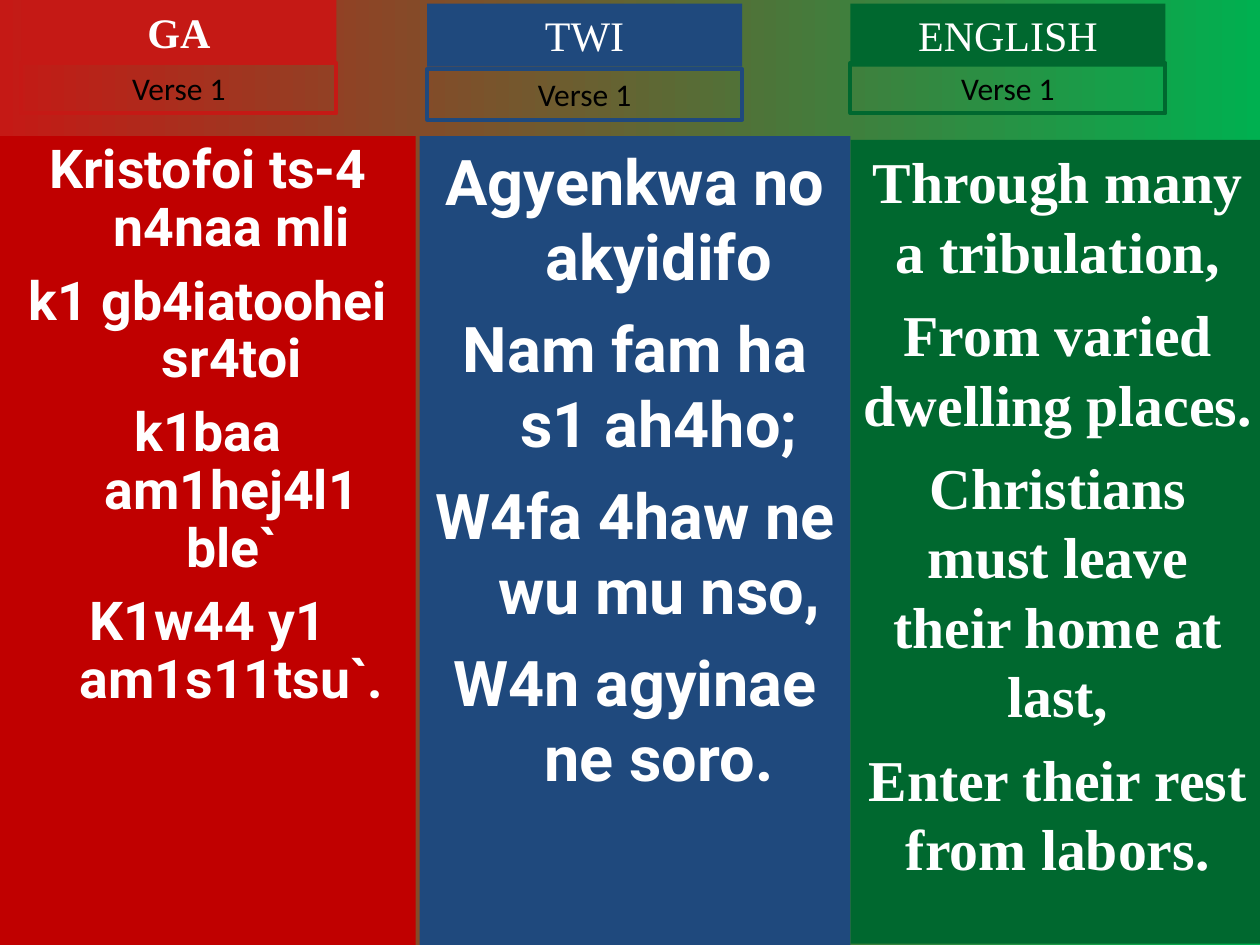
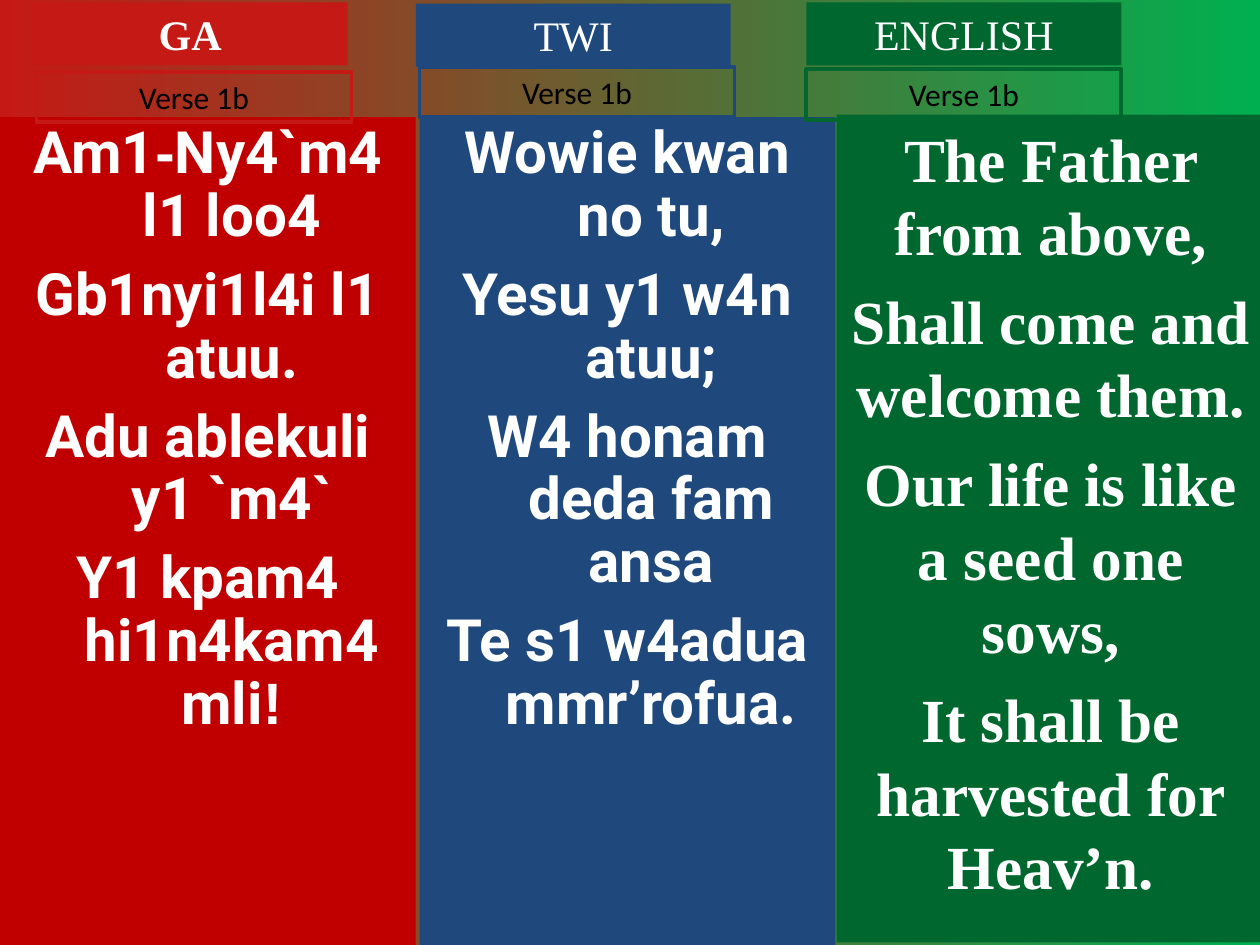
from pptx import Presentation
from pptx import util as u
from pptx.dml.color import RGBColor
from pptx.enum import shapes, text

PX = 9144  # 100 px to the inch
WHITE, BLACK = "FFFFFF", "000000"
RED, GREEN = "C51915", "00B050"
SERIF, SANS, VERSE_FONT, MARK_FONT = "Times New Roman", "Calibri", "Roboto", "Arial"
HANG = 38

# language, panel colour, accent colour, bold heading, verse font, hanging indent
LANGUAGES = [
    ("GA", "C00000", RED, True, VERSE_FONT, HANG),
    ("TWI", "1F497D", "1F497D", False, VERSE_FONT, HANG),
    ("ENGLISH", "00682F", "00682F", False, SERIF, 0),
]

# per column: panel box, heading corner, label corner,
# (size, line spacing, space before), lines; text between bars is set in MARK_FONT
SLIDES = [
    ("Verse 1", [
        ((0, 108, 330, 642), (17, 0), (17, 50), (30.6, 0.9, 9),
         ["Kristofoi ts-4 n4naa mli", "k1 gb4iatoohei sr4toi",
          "k1baa am1hej4l1 ble`", "K1w44 y1 am1s11tsu`."]),
        ((333, 108, 342, 642), (339, 3), (339, 55), (36, 1.0, 9),
         ["Agyenkwa no akyidifo", "Nam fam ha s1 ah4ho;",
          "W4fa 4haw ne wu mu nso,", "W4n agyinae ne soro."]),
        ((675, 111, 329, 638), (675, 3), (675, 50), (33, 1.0, 8.2),
         ["Through many a tribulation,", "From varied dwelling places.",
          "Christians must leave their home at last,",
          "Enter their rest from labors."]),
    ]),
    ("Verse 1b", [
        ((0, 93, 330, 657), (26, 2), (29, 57), (33.3, 0.9, 9),
         ["Am1|-|Ny4`m4 l1 loo4", "Gb1nyi1l4i l1 atuu.",
          "Adu ablekuli y1 `m4`", "Y1 kpam4 hi1n4kam4 mli|!"]),
        ((333, 93, 330, 657), (330, 3), (333, 53), (33.3, 0.9, 9),
         ["Wowie kwan no tu,", "Yesu y1 w4n atuu;",
          "W4 honam deda fam ansa", "Te s1 w4adua mmr’rofua."]),
        ((664, 91, 340, 657), (640, 2), (640, 55), (35, 1.0, 8.8),
         ["The Father from above,", "Shall come and welcome them.",
          "Our life is like a seed one sows,",
          "It shall be harvested for Heav’n."]),
    ]),
]


def rgb(value):
    return RGBColor.from_string(value)


def add_block(s, box, lines, font, size, color, bold=False, fill=None, line=None,
              spacing=1.0, before=0, hang=0, grow=False):
    """Add a rectangle of centred lines; grow fits its height to the text."""
    sp = s.shapes.add_shape(shapes.MSO_SHAPE.RECTANGLE, *(n * PX for n in box))
    sp.shadow.inherit = False
    if fill:
        sp.fill.solid()
        sp.fill.fore_color.rgb = rgb(fill)
    else:
        sp.fill.background()
    if line:
        sp.line.color.rgb = rgb(line)
        sp.line.width = u.Pt(2.25)
    else:
        sp.line.fill.background()

    tf = sp.text_frame
    tf.word_wrap = True
    tf.vertical_anchor = text.MSO_ANCHOR.TOP
    if grow:
        tf.auto_size = text.MSO_AUTO_SIZE.SHAPE_TO_FIT_TEXT
    for i, words in enumerate(lines):
        p = tf.paragraphs[0] if i == 0 else tf.add_paragraph()
        p.alignment = text.PP_ALIGN.CENTER
        p.line_spacing = spacing
        p.space_before = u.Pt(before if i else 0)
        if hang:
            pPr = p._p.get_or_add_pPr()
            pPr.set("marL", str(hang * PX))
            pPr.set("indent", str(-hang * PX))
        for j, piece in enumerate(words.split("|")):
            r = p.add_run()
            r.text = piece
            r.font.name = MARK_FONT if j % 2 else font
            r.font.size = u.Pt(size)
            r.font.bold = bold
            r.font.color.rgb = rgb(color)


prs = Presentation()
prs.slide_width, prs.slide_height = 1000 * PX, 750 * PX

for verse, columns in SLIDES:
    s = prs.slides.add_slide(prs.slide_layouts[6])
    bg = s.background.fill
    bg.gradient()
    bg.gradient_angle = 0
    for stop, color in zip(bg.gradient_stops, (RED, GREEN)):
        stop.color.rgb = rgb(color)

    for language, column in zip(LANGUAGES, columns):
        name, panel_color, accent, bold, font, hang = language
        panel, heading, label, (size, spacing, before), lines = column
        add_block(s, panel, lines, font, size, WHITE, bold=True, fill=panel_color,
                  spacing=spacing, before=before, hang=hang)
        add_block(s, (*heading, 250, 50), [name], SERIF, 24, WHITE, bold=bold,
                  fill=accent, grow=True)
        add_block(s, (*label, 250, 40), [verse], SANS, 18, BLACK, line=accent, grow=True)

prs.save("out.pptx")
